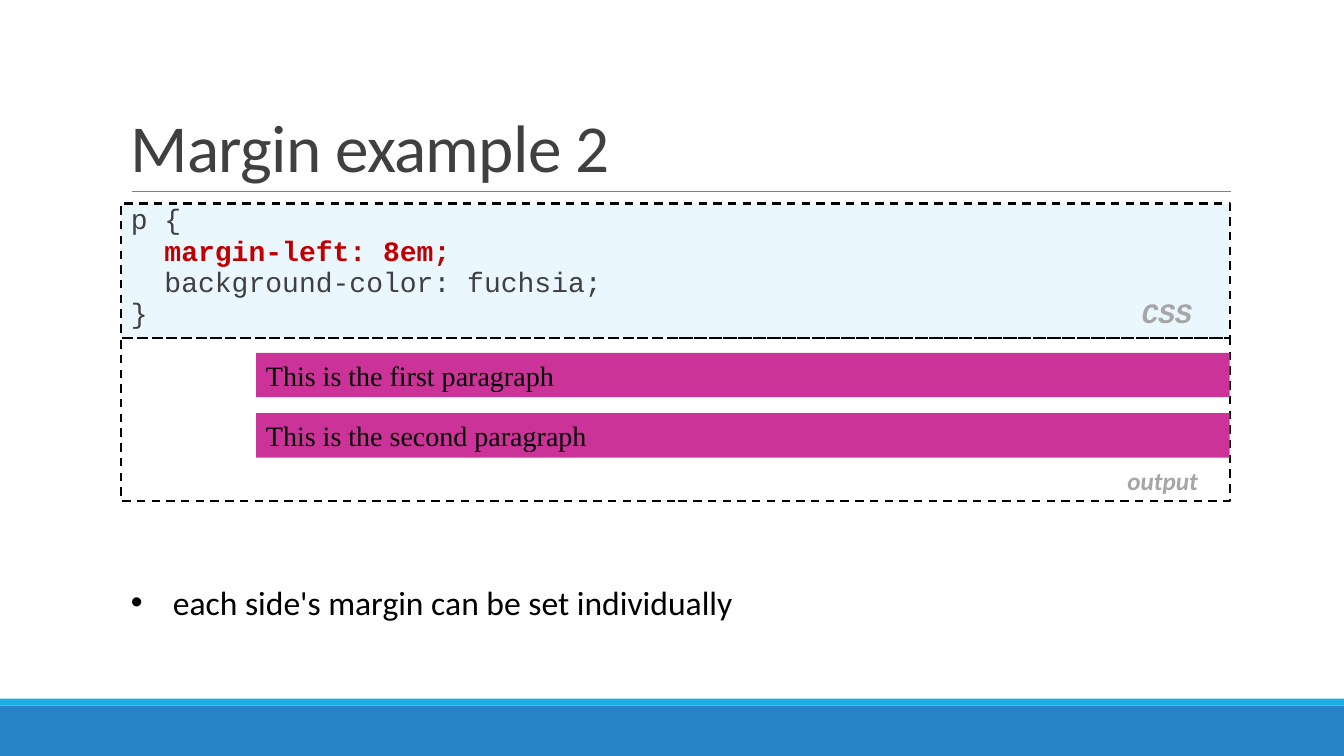
"""Build the slide on the CSS margin-left property."""
from dataclasses import dataclass

from pptx import Presentation
from pptx import util as u
from pptx.dml.color import RGBColor
from pptx.enum import dml, shapes, text
from pptx.oxml.ns import qn
from lxml import etree

Pt = u.Pt


@dataclass(frozen=True)
class Theme:
    """Colours, fonts and type sizes of the slide."""
    ink: str = "000000"
    soft: str = "404040"
    tag: str = "A6A6A6"
    key: str = "C00000"
    rule: str = "808080"
    code: str = "EBF7FF"
    pink: str = "CC3399"
    blue: str = "2683C6"
    sky: str = "1CADE4"
    sans: str = "Calibri"
    mono: str = "Courier New"
    serif: str = "Times New Roman"
    title: int = 48
    list: int = 24
    body: int = 20
    small: int = 18


T = Theme()
LEFT, WIDE = 86.4, 792


def style(font, size, face, color, bold=False, slant=False):
    """Set size, face, colour and weight of a font."""
    font.size, font.name = Pt(size), face
    font.bold, font.italic = bold, slant
    font.color.rgb = RGBColor.from_string(color)


def rect(slide, x, y, w, h, fill=None, dash=False):
    """Add a rectangle, filled or hollow, with an optional dashed edge."""
    box = slide.shapes.add_shape(shapes.MSO_SHAPE.RECTANGLE,
                                 Pt(x), Pt(y), Pt(w), Pt(h))
    box.shadow.inherit = False
    if fill:
        box.fill.solid()
        box.fill.fore_color.rgb = RGBColor.from_string(fill)
    else:
        box.fill.background()
    if dash:
        box.line.color.rgb = RGBColor.from_string(T.ink)
        box.line.width = Pt(1.5)
        box.line.dash_style = dml.MSO_LINE.DASH
    else:
        box.line.fill.background()
    return box


def write(box, words, anchor, align=text.PP_ALIGN.LEFT):
    """Put one wrapped paragraph in a shape and return it."""
    frame = box.text_frame
    frame.word_wrap = True
    frame.vertical_anchor = anchor
    para = frame.paragraphs[0]
    para.text, para.alignment = words, align
    return para


def label(slide, y, h, words):
    """Add a full-width text box and return its paragraph."""
    box = slide.shapes.add_textbox(Pt(LEFT), Pt(y), Pt(WIDE), Pt(h))
    return write(box, words, text.MSO_ANCHOR.BOTTOM)


def title(slide, words):
    """Add the heading and the thin rule below it."""
    para = label(slide, 22.3, 114.5, words)
    para.line_spacing = 0.85
    style(para.font, T.title, T.sans, T.soft)
    para.runs[0].font._element.set("spc", "-50")
    line = slide.shapes.add_connector(shapes.MSO_CONNECTOR.STRAIGHT,
                                      Pt(94.3), Pt(136.8), Pt(879.1), Pt(136.8))
    line.line.color.rgb = RGBColor.from_string(T.rule)
    line.line.width = Pt(0.5)
    etree.SubElement(line._element.spPr, qn("a:effectLst"))


def code(slide, lines):
    """Add the code panel; each line is a list of (words, colour, bold, slant)."""
    box = rect(slide, LEFT, 145.4, WIDE, 95.8, T.code, True)
    frame = box.text_frame
    frame.word_wrap = True
    frame.vertical_anchor = text.MSO_ANCHOR.TOP
    for i, line in enumerate(lines):
        para = frame.add_paragraph() if i else frame.paragraphs[0]
        para.alignment = text.PP_ALIGN.LEFT
        para.line_spacing, para.space_after = 0.8, Pt(3)
        tabs = etree.SubElement(para._p.get_or_add_pPr(), qn("a:tabLst"))
        etree.SubElement(tabs, qn("a:tab"), pos=str(Pt(758)), algn="r")
        for words, color, bold, slant in line:
            run = para.add_run()
            run.text = words
            style(run.font, T.body, T.mono, color, bold, slant)


def output(slide, rows):
    """Add the output panel with one pink bar for each row."""
    box = rect(slide, LEFT, 241.2, WIDE, 116.6, dash=True)
    box.text_frame.margin_right = Pt(22.7)
    para = write(box, "output", text.MSO_ANCHOR.BOTTOM, text.PP_ALIGN.RIGHT)
    style(para.font, T.small, T.sans, T.tag, True, True)
    for i, words in enumerate(rows):
        bar = rect(slide, 182.9, 252 + 43.2 * i, 695.5, 31.7, T.pink)
        para = write(bar, words, text.MSO_ANCHOR.MIDDLE)
        style(para.font, T.body, T.serif, T.ink)


def bullet(slide, words):
    """Add the bulleted remark."""
    para = label(slide, 411.8, 36, words)
    props = para._p.get_or_add_pPr()
    props.set("marL", str(Pt(30)))
    props.set("indent", str(Pt(-30)))
    etree.SubElement(props, qn("a:buFont"), typeface="Arial")
    etree.SubElement(props, qn("a:buChar"), char="•")
    style(para.font, T.list, T.sans, T.ink)


def main():
    """Build and save the slide."""
    deck = Presentation()
    deck.slide_width, deck.slide_height = Pt(960), Pt(540)
    slide = deck.slides.add_slide(deck.slide_layouts[6])
    rect(slide, 0, 504, 960, 36, T.blue)
    rect(slide, 0, 499, 960, 5, T.sky)
    title(slide, "Margin example 2")
    code(slide, [
        [("p {", T.soft, False, False)],
        [("  margin-left: 8em;", T.key, True, False)],
        [("  background-color: fuchsia;", T.soft, False, False)],
        [("}\t", T.soft, False, False), ("CSS", T.tag, True, True)],
    ])
    output(slide, ["This is the first paragraph",
                   "This is the second paragraph"])
    bullet(slide, "each side's margin can be set individually")
    deck.save("out.pptx")


if __name__ == "__main__":
    main()
